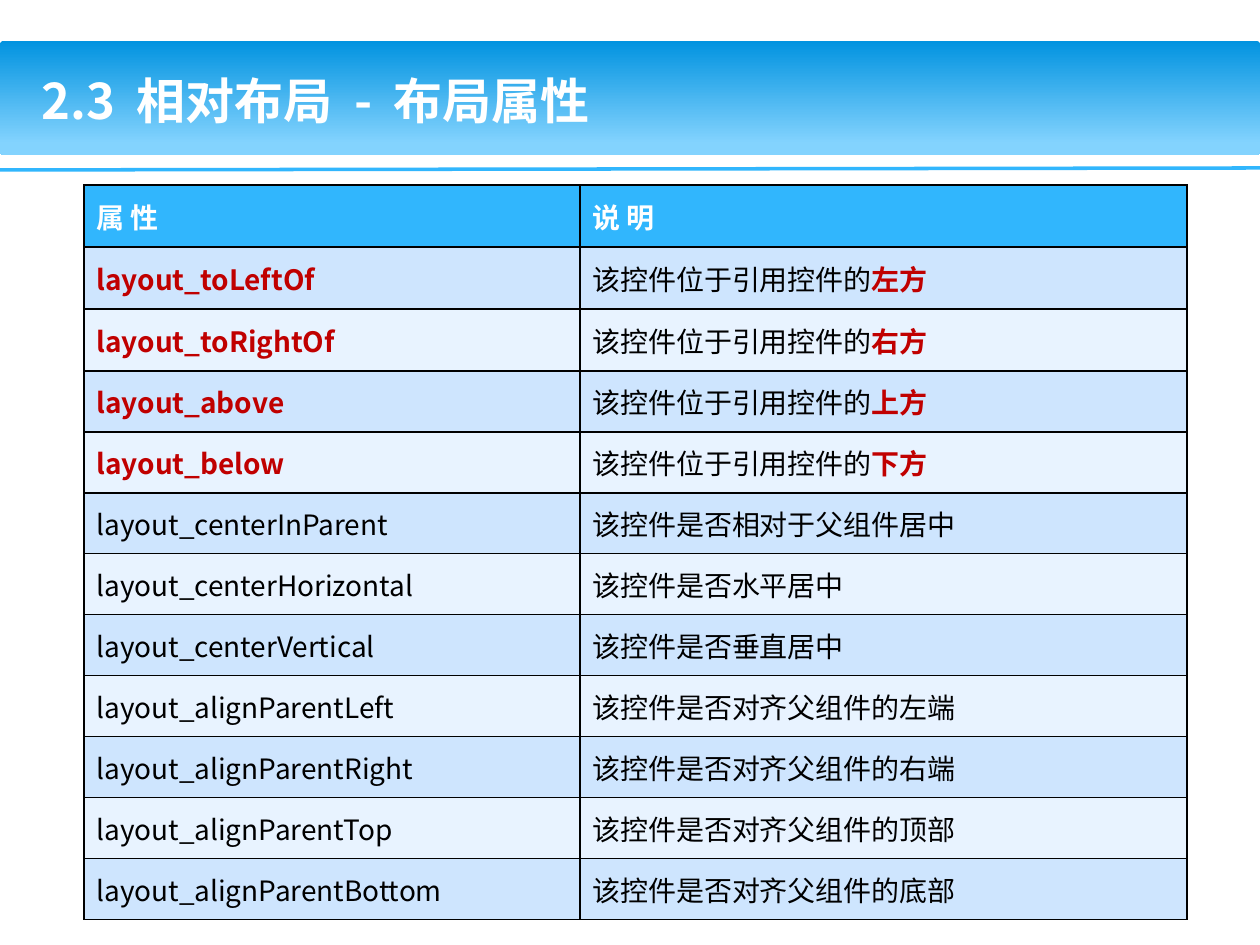
from lxml.etree import SubElement
from pptx import Presentation
from pptx.dml.color import RGBColor
from pptx.enum.shapes import MSO_CONNECTOR, MSO_SHAPE
from pptx.enum.text import MSO_ANCHOR, MSO_AUTO_SIZE, PP_ALIGN
from pptx.oxml import parse_xml
from pptx.oxml.ns import nsdecls, qn
from pptx.util import Pt

PX = 914400 / 126
FONT = "Noto Sans CJK SC"
COLORS = {
    "white": "FFFFFF", "black": "000000", "red": "C00000", "header": "31B6FD",
    "band_top": "0293E0", "band_bottom": "83D3FE",
    "row_dark": "CEE5FE", "row_light": "E8F3FF",
}


def px(value):
    return round(value * PX)


def add_span(para, text, size=16, color="black", bold=False, spacing=0):
    span = para.add_run()
    span.text = text
    span.font.size = Pt(size)
    span.font.bold = bold
    span.font.color.rgb = RGBColor.from_string(COLORS[color])
    span.font.name = FONT
    properties = span.font._element
    SubElement(properties, qn("a:ea")).set("typeface", FONT)
    if spacing:
        properties.set("spc", str(spacing * 100))


deck = Presentation()
deck.slide_width, deck.slide_height = px(1260), px(945)
page = deck.slides.add_slide(deck.slide_layouts[5])

# Title band
band = page.shapes.add_shape(MSO_SHAPE.ROUNDED_RECTANGLE, 0, px(41), px(1260), px(114))
band.adjustments[0] = 0.03
band.shadow.inherit = False
band.line.fill.background()
band.fill.gradient()
band.fill.gradient_angle = 270
for stop, position, color in zip(band.fill.gradient_stops, (0, 0.9), ("band_top", "band_bottom")):
    stop.position = position
    stop.color.rgb = RGBColor.from_string(COLORS[color])

# Rule under the band
rule = page.shapes.add_connector(MSO_CONNECTOR.STRAIGHT, 0, px(170), px(1260), px(168))
rule.line.color.rgb = RGBColor.from_string(COLORS["header"])
rule.line.width = Pt(2)
SubElement(rule._element.spPr, qn("a:effectLst"))

# Title, brought in front of the band, with widened word gaps
title = page.shapes.title
page.shapes._spTree.append(title._element)
title.left, title.top, title.width, title.height = px(29), px(45), px(1109), px(110)
frame = title.text_frame
frame.word_wrap = True
frame.auto_size = MSO_AUTO_SIZE.NONE
frame.vertical_anchor = MSO_ANCHOR.MIDDLE
para = frame.paragraphs[0]
para.alignment = PP_ALIGN.LEFT
for index, word in enumerate(("2.3", "相对布局", "-", "布局属性")):
    if index:
        add_span(para, " ", size=28, color="white", bold=True, spacing=6)
    add_span(para, word, size=28, color="white", bold=True)

# Table rows: attribute, description, highlighted ending
rows = [
    ("属 性", "说 明", ""),
    ("layout_toLeftOf", "该控件位于引用控件的", "左方"),
    ("layout_toRightOf", "该控件位于引用控件的", "右方"),
    ("layout_above", "该控件位于引用控件的", "上方"),
    ("layout_below", "该控件位于引用控件的", "下方"),
    ("layout_centerInParent", "该控件是否相对于父组件居中", ""),
    ("layout_centerHorizontal", "该控件是否水平居中", ""),
    ("layout_centerVertical", "该控件是否垂直居中", ""),
    ("layout_alignParentLeft", "该控件是否对齐父组件的左端", ""),
    ("layout_alignParentRight", "该控件是否对齐父组件的右端", ""),
    ("layout_alignParentTop", "该控件是否对齐父组件的顶部", ""),
    ("layout_alignParentBottom", "该控件是否对齐父组件的底部", ""),
]
table = page.shapes.add_table(len(rows), 2, px(84), px(185), px(1103), px(735)).table
table.horz_banding = False
for column, width in zip(table.columns, (496, 607)):
    column.width = px(width)

for r, (attribute, description, ending) in enumerate(rows):
    table.rows[r].height = px(62 if r < 3 else 61)
    if r == 0:
        fill, key_color, text_color = "header", "white", "white"
    else:
        fill = "row_dark" if r % 2 else "row_light"
        key_color, text_color = ("red" if ending else "black"), "black"

    for c, text in enumerate((attribute, description)):
        cell = table.cell(r, c)
        cell.vertical_anchor = MSO_ANCHOR.MIDDLE
        para = cell.text_frame.paragraphs[0]
        color = text_color if c else key_color
        add_span(para, text, color=color, bold=color != "black")
        if c and ending:
            add_span(para, ending, color="red", bold=True)

        # Borders come before the fill in the cell properties
        for side in ("lnL", "lnR", "lnT", "lnB"):
            cell._tc.get_or_add_tcPr().append(parse_xml(
                f'<a:{side} {nsdecls("a")} w="12700"><a:solidFill>'
                f'<a:srgbClr val="{COLORS["black"]}"/></a:solidFill></a:{side}>'))
        cell.fill.solid()
        cell.fill.fore_color.rgb = RGBColor.from_string(COLORS[fill])

deck.save("out.pptx")
